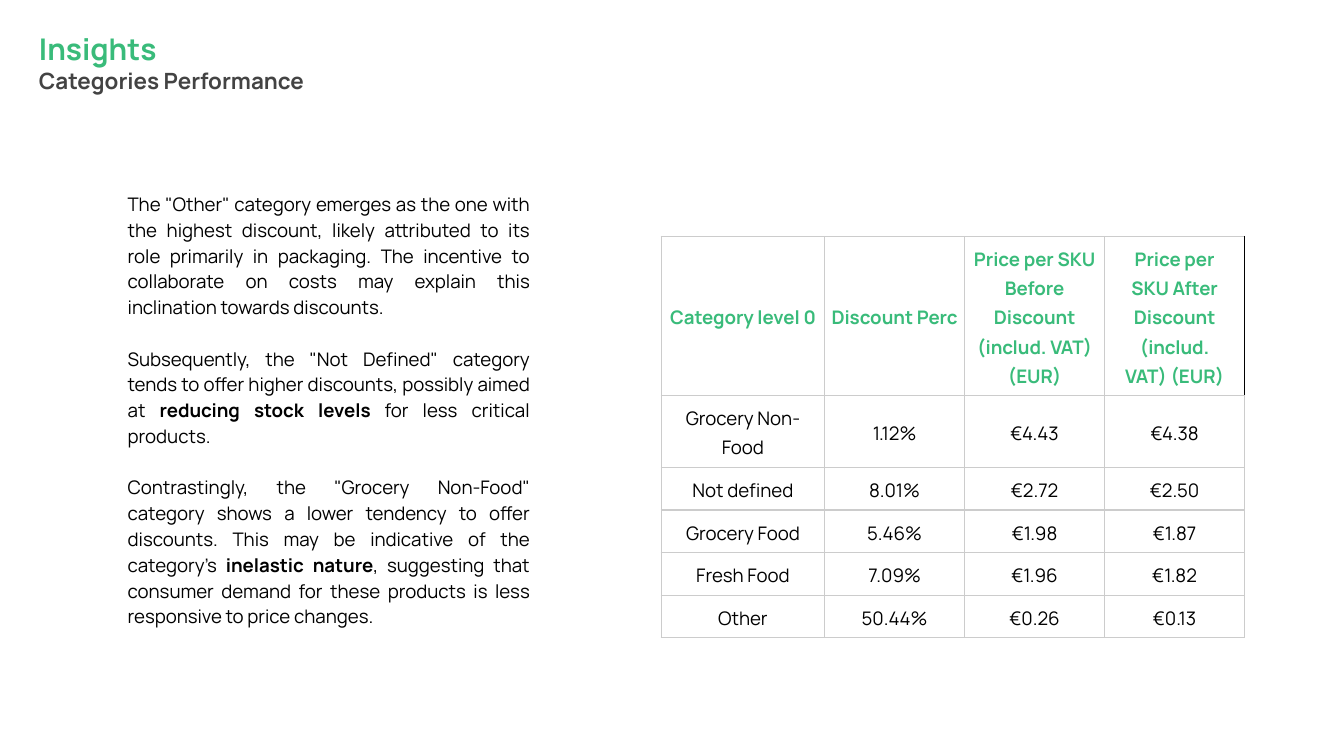
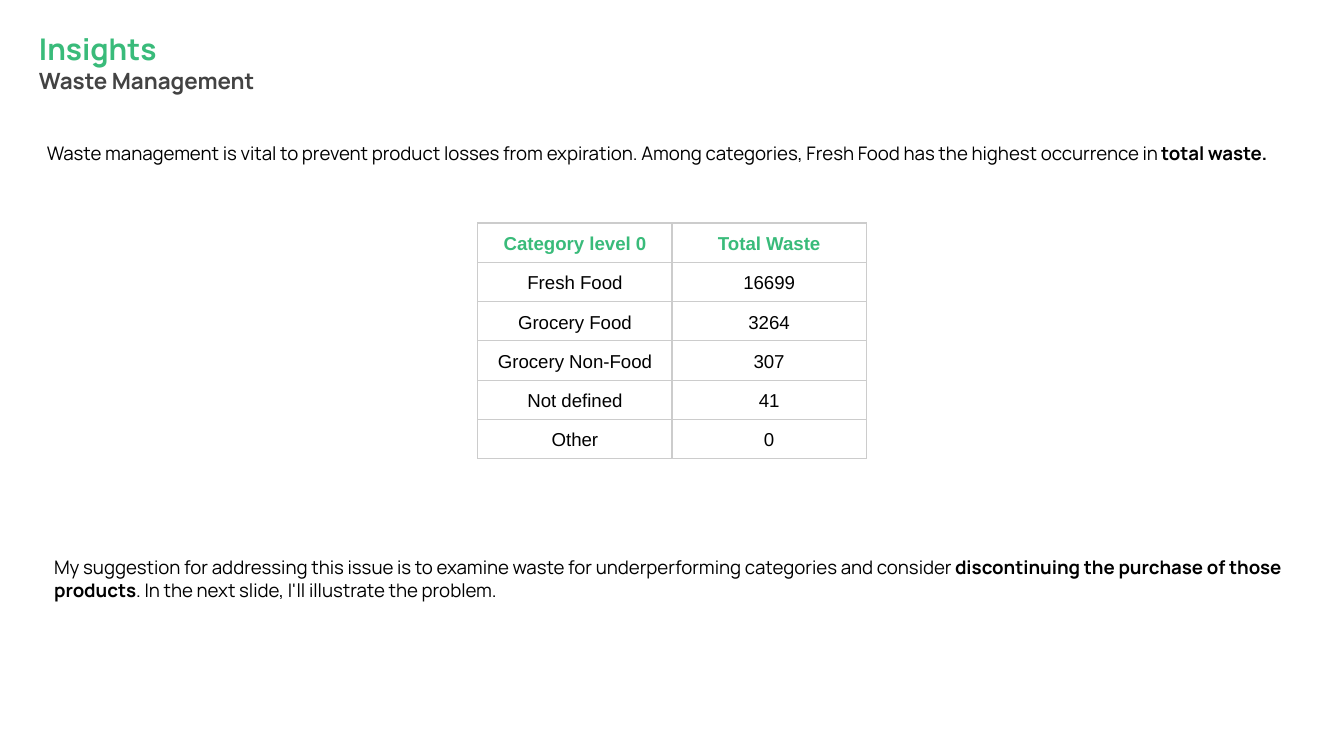
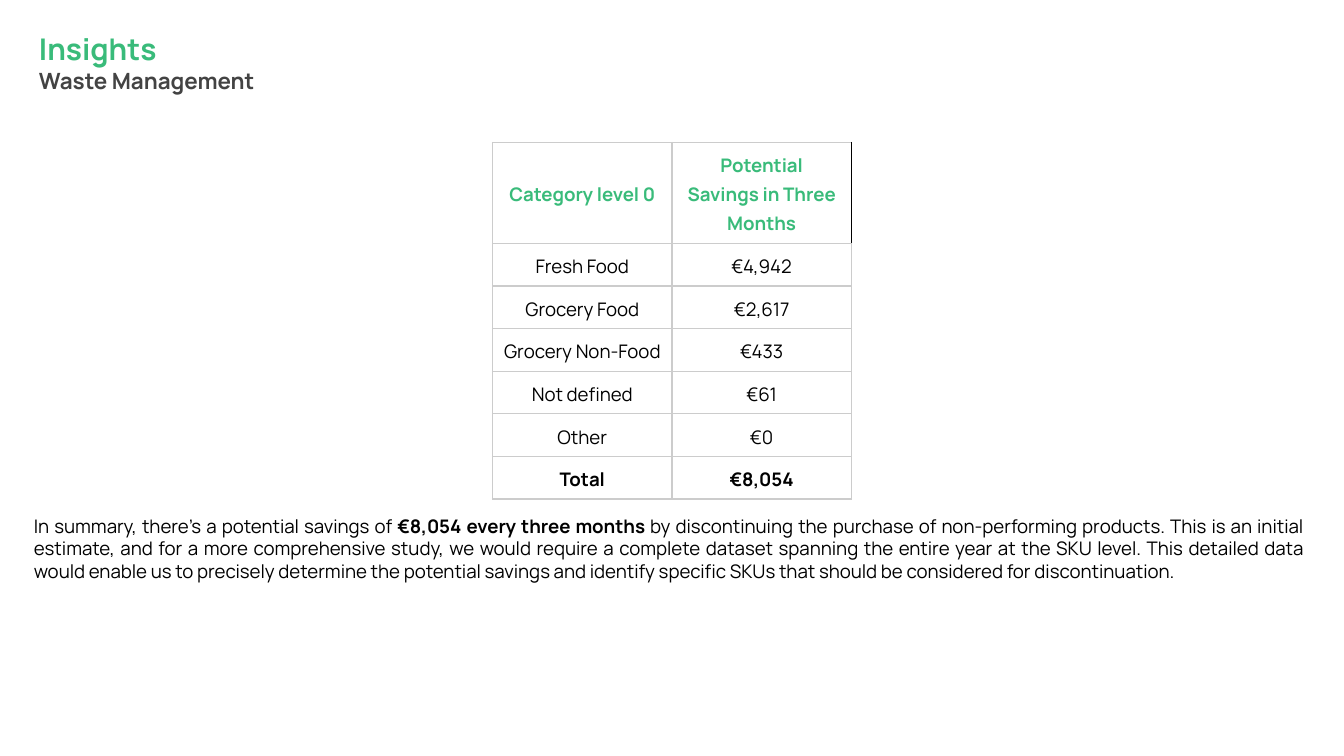
"""Build three insight slides on category discounts and product waste."""
from lxml import etree
from pptx import Presentation
from pptx import util as u
from pptx.dml.color import RGBColor
from pptx.enum import text
from pptx.oxml import ns

WIDTH, HEIGHT = u.Inches(10), u.Inches(5.625)
COLORS = {"accent": "39BB7A", "subtitle": "434343", "body": "000000",
          "rule": "CCCCCC", "edge": "000000"}
FONT = "Manrope"
BODY_SIZE = 10
LOOSE = 1.15
LINE_ROW = 5.64
ALIGN = text.PP_ALIGN


def across(percent):
    """Return a share of the slide's width."""
    return int(WIDTH * percent / 100)


def down(percent):
    """Return a share of the slide's height."""
    return int(HEIGHT * percent / 100)


def place(left, top, width, height):
    """Turn percentages of the slide into a frame."""
    return across(left), down(top), across(width), down(height)


def style(run, color, size=BODY_SIZE, bold=False, font=FONT):
    """Set the look of one run."""
    run.font.name = font
    run.font.size = u.Pt(size)
    run.font.bold = bold
    run.font.color.rgb = RGBColor.from_string(COLORS[color])


def write(paragraph, wording, align=ALIGN.LEFT, spacing=1.0, bold=False, **look):
    """Write wording in which ** switches bold on and off."""
    paragraph.alignment = align
    paragraph.line_spacing = spacing
    for index, part in enumerate(wording.split("**")):
        if part:
            run = paragraph.add_run()
            run.text = part
            style(run, bold=bold or index % 2 == 1, **look)


def add_frame(slide, frame, inset):
    """Add a wrapping text box and return its text frame."""
    body = slide.shapes.add_textbox(*place(*frame)).text_frame
    body.word_wrap = True
    body.margin_left = body.margin_right = u.Inches(inset)
    body.margin_top = body.margin_bottom = u.Inches(inset)
    return body


def add_insight_slide(deck, topic):
    """Add a blank slide with the shared heading."""
    slide = deck.slides.add_slide(deck.slide_layouts[6])
    heading = add_frame(slide, (2.5, 3.38, 47.1, 7.64), 0.04)
    write(heading.paragraphs[0], "Insights", color="accent", size=16, bold=True)
    write(heading.add_paragraph(), topic, color="subtitle", size=12, bold=True)
    return slide


def add_remark(slide, frame, wording, align=ALIGN.LEFT):
    """Add one paragraph of commentary in a growing box."""
    remark = add_frame(slide, frame, 0.1)
    remark.auto_size = text.MSO_AUTO_SIZE.SHAPE_TO_FIT_TEXT
    write(remark.paragraphs[0], wording, align, color="body")


def add_findings(slide, frame, findings):
    """Add justified paragraphs one line apart."""
    body = add_frame(slide, frame, 0)
    for index, finding in enumerate(findings):
        paragraph = body.add_paragraph() if index else body.paragraphs[0]
        write(paragraph, finding, ALIGN.JUSTIFY, LOOSE, color="body")
        if index:
            paragraph.space_before = u.Pt(13.8)


def rule_cell(cell, right):
    """Draw the four borders of a cell."""
    properties = cell._tc.get_or_add_tcPr()
    sides = {"lnL": "rule", "lnR": right, "lnT": "rule", "lnB": "rule"}
    for position, (side, color) in enumerate(sides.items()):
        line = etree.Element(ns.qn(f"a:{side}"), w=str(u.Pt(0.75)))
        fill = etree.SubElement(line, ns.qn("a:solidFill"))
        etree.SubElement(fill, ns.qn("a:srgbClr"), val=COLORS[color])
        properties.insert(position, line)


def add_category_table(slide, corner, columns, heights, rows,
                       font=FONT, dark_edge=True):
    """Add a ruled table whose first row is the header."""
    frame = place(*corner, sum(columns), sum(heights))
    table = slide.shapes.add_table(len(rows), len(columns), *frame).table
    table.first_row = table.horz_banding = False
    for column, width in zip(table.columns, columns):
        column.width = across(width)
    for row, height in zip(table.rows, heights):
        row.height = down(height)
    for r, values in enumerate(rows):
        for c, value in enumerate(values):
            cell = table.cell(r, c)
            header = r == 0
            edge = header and dark_edge and c == len(columns) - 1
            cell.fill.background()
            cell.vertical_anchor = text.MSO_ANCHOR.MIDDLE
            cell.margin_left = cell.margin_right = u.Inches(0.1 if edge else 0.03)
            cell.margin_top = cell.margin_bottom = u.Inches(0.05)
            write(cell.text_frame.paragraphs[0], value, ALIGN.CENTER, LOOSE,
                  color="accent" if header else "body", bold=header, font=font)
            rule_cell(cell, "edge" if edge else "rule")


def build_categories(deck):
    """Compare discounts and prices by category."""
    slide = add_insight_slide(deck, "Categories Performance")
    add_category_table(
        slide, (49.2, 31.29), [12.15] + [10.42] * 3,
        [21.03, 9.52] + [LINE_ROW] * 4,
        [("Category level 0", "Discount Perc",
          "Price per SKU Before Discount (includ. VAT) (EUR)",
          "Price per SKU After Discount (includ. VAT) (EUR)"),
         ("Grocery Non-Food", "1.12%", "€4.43", "€4.38"),
         ("Not defined", "8.01%", "€2.72", "€2.50"),
         ("Grocery Food", "5.46%", "€1.98", "€1.87"),
         ("Fresh Food", "7.09%", "€1.96", "€1.82"),
         ("Other", "50.44%", "€0.26", "€0.13")])
    add_findings(slide, (9.5, 25.07, 29.9, 12.62), [
        'The "Other" category emerges as the one with the highest discount, '
        "likely attributed to its role primarily in packaging. The incentive "
        "to collaborate on costs may explain this inclination towards discounts.",
        'Subsequently, the "Not Defined" category tends to offer higher '
        "discounts, possibly aimed at **reducing stock levels** for less "
        "critical products.",
        'Contrastingly, the "Grocery Non-Food" category shows a lower tendency '
        "to offer discounts. This may be indicative of the category's "
        "**inelastic nature**, suggesting that consumer demand for these "
        "products is less responsive to price changes."])


def build_waste(deck):
    """Show total waste by category."""
    slide = add_insight_slide(deck, "Waste Management")
    add_category_table(
        slide, (35.55, 29.51), [14.45] * 2, [4.98] * 6,
        [("Category level 0", "Total Waste"), ("Fresh Food", "16699"),
         ("Grocery Food", "3264"), ("Grocery Non-Food", "307"),
         ("Not defined", "41"), ("Other", "0")],
        font="Arial", dark_edge=False)
    add_remark(slide, (2.5, 17.24, 93.9, 9.42),
               "Waste management is vital to prevent product losses from "
               "expiration. Among categories, Fresh Food has the highest "
               "occurrence in **total waste.**")
    add_remark(slide, (3.04, 71.82, 93.9, 9.42),
               "My suggestion for addressing this issue is to examine waste for "
               "underperforming categories and consider **discontinuing the "
               "purchase of those products**. In the next slide, I'll "
               "illustrate the problem.")


def build_savings(deck):
    """Show potential savings by category."""
    slide = add_insight_slide(deck, "Waste Management")
    add_category_table(
        slide, (36.65, 18.84), [13.35] * 2, [13.36] + [LINE_ROW] * 6,
        [("Category level 0", "Potential Savings in Three Months"),
         ("Fresh Food", "€4,942"), ("Grocery Food", "€2,617"),
         ("Grocery Non-Food", "€433"), ("Not defined", "€61"),
         ("Other", "€0"), ("**Total**", "**€8,054**")])
    add_remark(slide, (1.54, 66.31, 96.4, 18.31),
               "In summary, there's a potential savings of **€8,054 every three "
               "months** by discontinuing the purchase of non-performing "
               "products. This is an initial estimate, and for a more "
               "comprehensive study, we would require a complete dataset "
               "spanning the entire year at the SKU level. This detailed data "
               "would enable us to precisely determine the potential savings and "
               "identify specific SKUs that should be considered for "
               "discontinuation.", ALIGN.JUSTIFY)


def main():
    """Build and save the deck."""
    deck = Presentation()
    deck.slide_width, deck.slide_height = WIDTH, HEIGHT
    build_categories(deck)
    build_waste(deck)
    build_savings(deck)
    deck.save("out.pptx")


if __name__ == "__main__":
    main()
